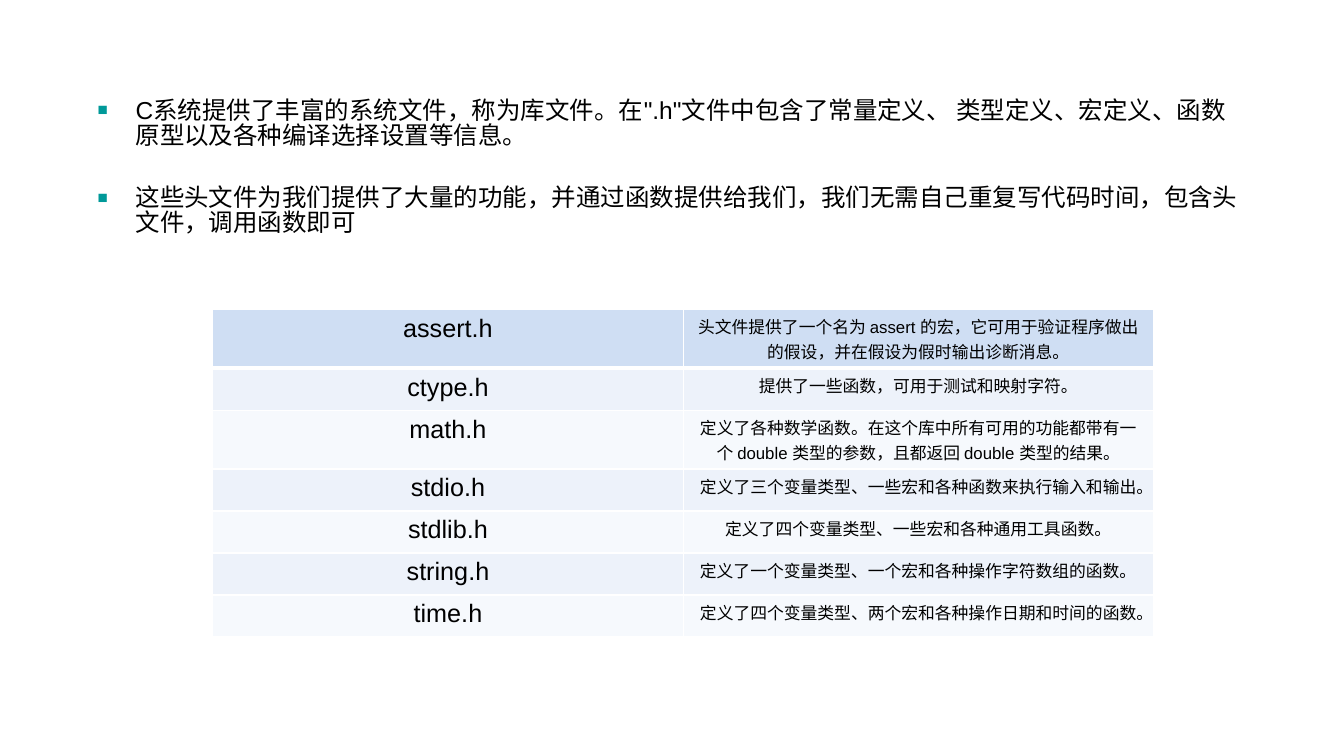
from dataclasses import dataclass

from lxml.etree import SubElement
from pptx import Presentation
from pptx.dml.color import RGBColor
from pptx.enum.text import MSO_AUTO_SIZE, PP_ALIGN
from pptx.oxml.ns import qn
from pptx.util import Pt


@dataclass(frozen=True)
class Theme:
    font: str = "Arial"
    text: str = "000000"
    bullet: str = "009999"
    border: str = "FFFFFF"
    header_fill: str = "CFDEF3"
    row_fills: tuple = ("EDF2FA", "F6F9FD")
    body_size: float = 17.5
    name_size: float = 18
    description_size: float = 12


THEME = Theme()

POINTS = [
    "C系统提供了丰富的系统文件，称为库文件。在\".h\"文件中包含了常量定义、 类型定义、宏定义、函数原型以及各种编译选择设置等信息。",
    "这些头文件为我们提供了大量的功能，并通过函数提供给我们，我们无需自己重复写代码时间，包含头文件，调用函数即可",
]

HEADER_FILES = [
    ("assert.h", "头文件提供了一个名为 assert 的宏，它可用于验证程序做出的假设，并在假设为假时输出诊断消息。"),
    ("ctype.h", "提供了一些函数，可用于测试和映射字符。"),
    ("math.h", "定义了各种数学函数。在这个库中所有可用的功能都带有一个 double 类型的参数，且都返回 double 类型的结果。"),
    ("stdio.h", "定义了三个变量类型、一些宏和各种函数来执行输入和输出。"),
    ("stdlib.h", "定义了四个变量类型、一些宏和各种通用工具函数。"),
    ("string.h", "定义了一个变量类型、一个宏和各种操作字符数组的函数。"),
    ("time.h", "定义了四个变量类型、两个宏和各种操作日期和时间的函数。"),
]


def format_runs(paragraph, size):
    for run in paragraph.runs:
        run.font.name = THEME.font
        run.font.size = Pt(size)
        run.font.bold = False
        run.font.color.rgb = RGBColor.from_string(THEME.text)


def add_bullet(paragraph):
    properties = paragraph._p.get_or_add_pPr()
    properties.set("marL", str(Pt(27)))
    properties.set("indent", str(-Pt(27)))
    color = SubElement(properties, qn("a:buClr"))
    SubElement(color, qn("a:srgbClr"), val=THEME.bullet)
    SubElement(properties, qn("a:buSzPct"), val="70000")
    SubElement(properties, qn("a:buFont"), typeface=THEME.font)
    SubElement(properties, qn("a:buChar"), char="■")


def fill_body(body, points):
    body.left, body.top, body.width, body.height = Pt(62.6), Pt(67.7), Pt(836.6), Pt(450)
    text_frame = body.text_frame
    text_frame.text = "\n".join(points)
    text_frame.auto_size = MSO_AUTO_SIZE.NONE
    for index, paragraph in enumerate(text_frame.paragraphs):
        paragraph.line_spacing = 0.85
        paragraph.space_before = Pt(26.5 if index else 0)
        add_bullet(paragraph)
        format_runs(paragraph, THEME.body_size)


def set_borders(cell, bottom_width):
    properties = cell._tc.get_or_add_tcPr()
    widths = {"a:lnL": 1, "a:lnR": 1, "a:lnT": 1, "a:lnB": bottom_width}
    for tag, width in widths.items():
        line = SubElement(properties, qn(tag), w=str(Pt(width)))
        fill = SubElement(line, qn("a:solidFill"))
        SubElement(fill, qn("a:srgbClr"), val=THEME.border)


def fill_cell(cell, text, size, color, bottom_width):
    cell.text = text
    paragraph = cell.text_frame.paragraphs[0]
    paragraph.alignment = PP_ALIGN.CENTER
    format_runs(paragraph, size)
    set_borders(cell, bottom_width)
    cell.fill.solid()
    cell.fill.fore_color.rgb = RGBColor.from_string(color)


def add_file_table(slide, files):
    frame = slide.shapes.add_table(len(files), 2, Pt(152), Pt(221), Pt(672), Pt(216))
    table = frame.table
    table.first_row = False
    table.horz_banding = False
    sizes = (THEME.name_size, THEME.description_size)
    for row_index, texts in enumerate(files):
        is_header = row_index == 0
        table.rows[row_index].height = Pt(36 if is_header else 30)
        color = THEME.header_fill if is_header else THEME.row_fills[(row_index - 1) % 2]
        bottom_width = 3 if is_header else 1
        for column_index, (text, size) in enumerate(zip(texts, sizes)):
            cell = table.cell(row_index, column_index)
            fill_cell(cell, text, size, color, bottom_width)


def main():
    presentation = Presentation()
    presentation.slide_width = Pt(960)
    presentation.slide_height = Pt(540)
    slide = presentation.slides.add_slide(presentation.slide_layouts[1])
    title = slide.shapes.title._element
    title.getparent().remove(title)
    fill_body(slide.placeholders[1], POINTS)
    add_file_table(slide, HEADER_FILES)
    presentation.save("out.pptx")


main()
